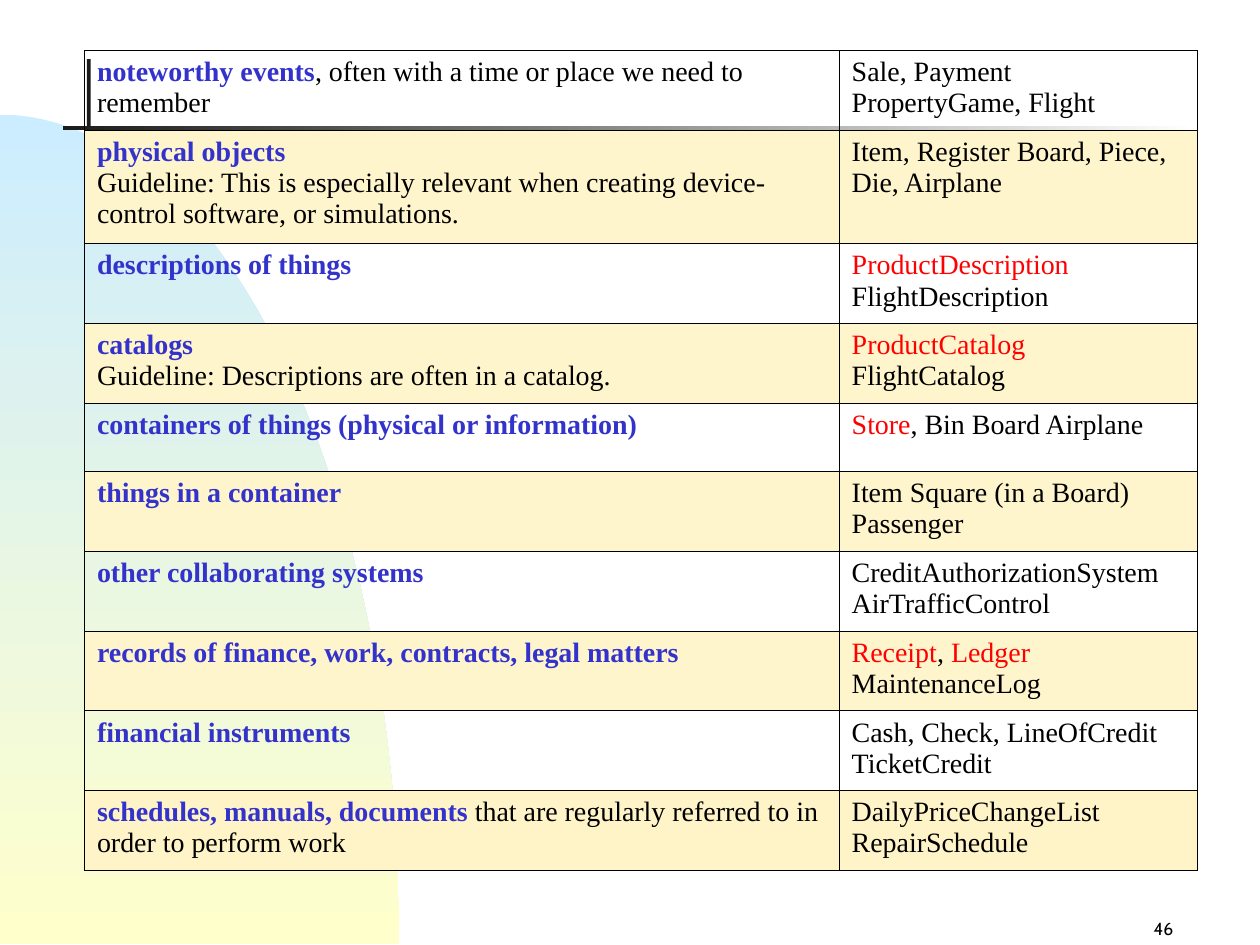
import math
from dataclasses import dataclass
from typing import NamedTuple

from lxml import etree
from pptx import Presentation
from pptx.dml.color import RGBColor
from pptx.enum import shapes, text
from pptx.oxml.ns import qn
from pptx.util import Inches, Pt


@dataclass(frozen=True)
class Theme:
    ink: str = "000000"
    category: str = "3333CC"
    accent: str = "FF0000"
    band: str = "FFF5CC"
    last_band: str = "FFF4C8"
    sky: str = "CCECFF"
    sand: str = "FFFFCC"
    bar: str = "1C1C1C"
    white: str = "FFFFFF"
    table_font: str = "Times New Roman"
    number_font: str = "Cabin"
    table_size: float = 16
    number_size: float = 10
    border_width: float = 0.34


THEME = Theme()


class Span(NamedTuple):
    text: str
    color: str = THEME.ink
    bold: bool = False


class Box(NamedTuple):
    left: float
    top: float
    width: float
    height: float

    def lengths(self) -> list:
        return [Inches(value) for value in self]


class Row(NamedTuple):
    category: list  # paragraphs, each a list of spans
    examples: list
    height: float = 0.63


def name(words: str) -> Span:
    return Span(words, THEME.category, True)


def red(words: str) -> Span:
    return Span(words, THEME.accent)


# Table content
ROWS = [
    Row([[name("noteworthy events"),
          Span(", often with a time or place we need to remember")]],
        [[Span("Sale, Payment PropertyGame, Flight")]]),
    Row([[name("physical objects")],
         [Span("Guideline: This is especially relevant when creating "
               "device-control software, or simulations.")]],
        [[Span("Item, Register Board, Piece, Die, Airplane")]], 0.9),
    Row([[name("descriptions of things")]],
        [[red("ProductDescription")], [Span("FlightDescription")]]),
    Row([[name("catalogs")],
         [Span("Guideline: Descriptions are often in a catalog.")]],
        [[red("ProductCatalog")], [Span("FlightCatalog")]]),
    Row([[name("containers of things (physical or information)")]],
        [[red("Store"), Span(", Bin Board Airplane")]], 0.54),
    Row([[name("things in a container")]],
        [[Span("Item Square (in a Board) Passenger")]]),
    Row([[name("other collaborating systems")]],
        [[Span("CreditAuthorizationSystem")], [Span("AirTrafficControl")]]),
    Row([[name("records of finance, work, contracts, legal matters")]],
        [[red("Receipt"), Span(", "), red("Ledger")], [Span("MaintenanceLog")]]),
    Row([[name("financial instruments")]],
        [[Span("Cash, Check, LineOfCredit")], [Span("TicketCredit")]]),
    Row([[name("schedules, manuals, documents"),
          Span(" that are regularly referred to in order to perform work")]],
        [[Span("DailyPriceChangeList")], [Span("RepairSchedule")]]),
]
COLUMNS = (5.99, 2.84)


def paint(shape, start: str, end: str | None = None, angle: float = 0) -> None:
    """Give a shape a solid fill, or a gradient when an end colour is given."""
    shape.shadow.inherit = False
    shape.line.fill.background()
    if end is None:
        shape.fill.solid()
        shape.fill.fore_color.rgb = RGBColor.from_string(start)
        return
    shape.fill.gradient()
    shape.fill.gradient_angle = angle
    for stop, color in zip(shape.fill.gradient_stops, (start, end)):
        stop.color.rgb = RGBColor.from_string(color)


def add_quarter_ellipse(page, box: Box, steps: int = 90):
    bottom = box.top + box.height
    angles = [math.pi / 2 * step / steps for step in range(steps + 1)]
    points = [(Inches(box.left + box.width * math.sin(angle)),
               Inches(bottom - box.height * math.cos(angle))) for angle in angles]
    points.append((Inches(box.left), Inches(bottom)))
    builder = page.shapes.build_freeform(*points[0])
    builder.add_line_segments(points[1:], close=True)
    return builder.convert_to_shape()


def add_bar(page, box: Box):
    return page.shapes.add_shape(shapes.MSO_SHAPE.RECTANGLE, *box.lengths())


def write(para, spans: list[Span], font_name: str, size: float) -> None:
    for span in spans:
        run = para.add_run()
        run.text = span.text
        values = {"name": font_name, "size": Pt(size), "bold": span.bold}
        for key, value in values.items():
            setattr(run.font, key, value)
        run.font.color.rgb = RGBColor.from_string(span.color)


def add_borders(cell) -> None:
    properties = cell._tc.get_or_add_tcPr()
    for index, side in enumerate(("lnL", "lnR", "lnT", "lnB")):
        line = etree.Element(qn(f"a:{side}"), w=str(Pt(THEME.border_width)))
        fill = etree.SubElement(line, qn("a:solidFill"))
        etree.SubElement(fill, qn("a:srgbClr"), val=THEME.ink)
        properties.insert(index, line)


def fill_cell(cell, paragraphs: list, color: str | None) -> None:
    if color:
        cell.fill.solid()
        cell.fill.fore_color.rgb = RGBColor.from_string(color)
    else:
        cell.fill.background()
    add_borders(cell)
    frame = cell.text_frame
    for index, spans in enumerate(paragraphs):
        para = frame.add_paragraph() if index else frame.paragraphs[0]
        write(para, spans, THEME.table_font, THEME.table_size)


def add_category_table(page, left: float, top: float) -> None:
    box = Box(left, top, sum(COLUMNS), sum(row.height for row in ROWS))
    table = page.shapes.add_table(len(ROWS), len(COLUMNS), *box.lengths()).table
    table.first_row = table.horz_banding = False
    for column, width in zip(table.columns, COLUMNS):
        column.width = Inches(width)
    for index, row in enumerate(ROWS):
        table.rows[index].height = Inches(row.height)
        band = THEME.last_band if index == len(ROWS) - 1 else THEME.band
        for column, paragraphs in enumerate((row.category, row.examples)):
            fill_cell(table.cell(index, column), paragraphs, band if index % 2 else None)


def add_page_number(page, number: str, box: Box) -> None:
    frame = page.shapes.add_textbox(*box.lengths()).text_frame
    frame.word_wrap = True
    frame.vertical_anchor = text.MSO_ANCHOR.BOTTOM
    para = frame.paragraphs[0]
    para.alignment = text.PP_ALIGN.RIGHT
    write(para, [Span(number)], THEME.number_font, THEME.number_size)


def main() -> None:
    deck = Presentation()
    deck.slide_width, deck.slide_height = Inches(10), Inches(7.5)
    page = deck.slides.add_slide(deck.slide_layouts[6])

    # Background decoration
    paint(add_quarter_ellipse(page, Box(0, 0.91, 3.17, 6.58)), THEME.sky, THEME.sand, 270)
    paint(add_bar(page, Box(0.69, 0.47, 0.03, 1.15)), THEME.bar)
    paint(add_bar(page, Box(0.5, 1, 9, 0.03)), THEME.bar, THEME.white)

    # Page number and table
    add_page_number(page, "46", Box(7.33, 7.17, 2.08, 0.33))
    add_category_table(page, 0.67, 0.4)
    deck.save("out.pptx")


if __name__ == "__main__":
    main()
